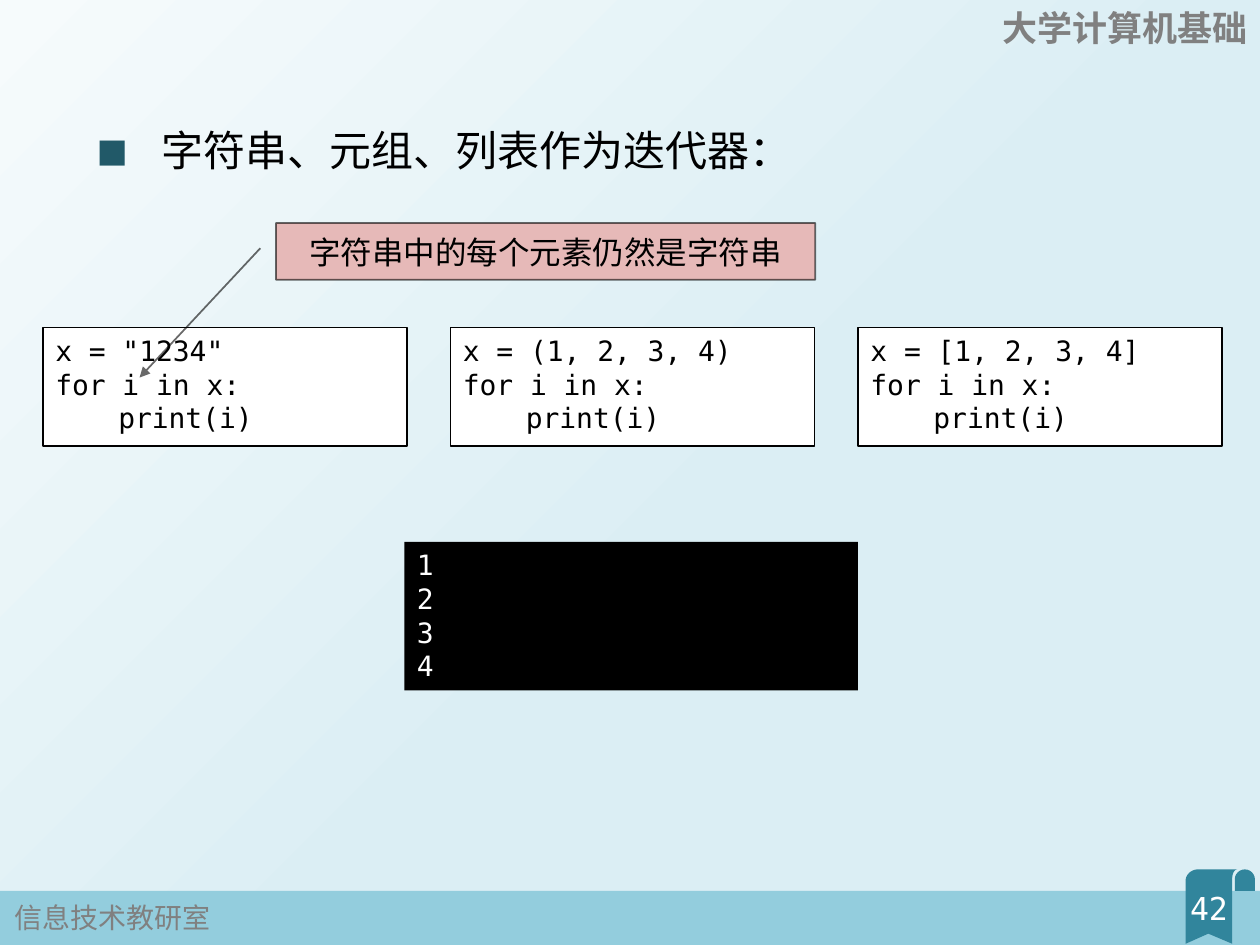
from dataclasses import dataclass
from math import cos, radians, sin

from lxml import etree
from pptx import Presentation
from pptx.dml.color import RGBColor
from pptx.enum.shapes import MSO_SHAPE
from pptx.enum.text import MSO_ANCHOR, MSO_AUTO_SIZE, PP_ALIGN
from pptx.oxml.ns import qn
from pptx.util import Inches, Pt

RECTANGLE, CALLOUT = MSO_SHAPE.RECTANGLE, MSO_SHAPE.LINE_CALLOUT_1
LEFT, CENTER, RIGHT = PP_ALIGN.LEFT, PP_ALIGN.CENTER, PP_ALIGN.RIGHT
TOP, MIDDLE = MSO_ANCHOR.TOP, MSO_ANCHOR.MIDDLE


@dataclass(frozen=True)
class Theme:
    black: str = "000000"
    white: str = "FFFFFF"
    gray: str = "808080"
    band: str = "93CDDD"
    ribbon: str = "31859C"
    bullet: str = "215968"
    callout: str = "E6B9B8"
    background: tuple = ((0, "F6FBFC"), (0.56, "DBEEF4"))
    mono: str = "DejaVu Sans Mono"
    chinese: str = "Noto Sans CJK JP"
    heading_size: int = 24
    course_size: int = 20
    note_size: int = 18
    code_size: int = 16


@dataclass(frozen=True)
class Box:
    left: float
    top: float
    width: float
    height: float

    def lengths(self) -> tuple:
        return tuple(Inches(v) for v in (self.left, self.top, self.width, self.height))


THEME = Theme()


def add_xml(parent, tag: str, **attributes: str):
    element = etree.SubElement(parent, qn(tag))
    for name, value in attributes.items():
        element.set(name, value)
    return element


def write_text(shape, text: str, *, size: int, color: str = THEME.black,
               font: str = THEME.mono, bold: bool = False, align=LEFT,
               anchor=TOP, wrap: bool = True) -> None:
    frame = shape.text_frame
    frame.word_wrap = wrap
    frame.auto_size = MSO_AUTO_SIZE.NONE
    frame.vertical_anchor = anchor
    for index, line in enumerate(text.split("\n")):
        paragraph = frame.add_paragraph() if index else frame.paragraphs[0]
        paragraph.alignment = align
        run = paragraph.add_run()
        run.text = line
        run.font.size = Pt(size)
        run.font.bold = bold
        run.font.name = font
        run.font.color.rgb = RGBColor.from_string(color)
        add_xml(run.font._element, "a:ea", typeface=THEME.chinese)


def paint(shape, fill: str, line: str | None = None) -> None:
    shape.shadow.inherit = False
    shape.fill.solid()
    shape.fill.fore_color.rgb = RGBColor.from_string(fill)
    if line is None:
        shape.line.fill.background()
    else:
        shape.line.color.rgb = RGBColor.from_string(line)
        shape.line.width = Pt(1)


def add_box(slide, box: Box, fill: str, line: str | None = None, kind=RECTANGLE):
    shape = slide.shapes.add_shape(kind, *box.lengths())
    paint(shape, fill, line)
    return shape


def add_label(slide, box: Box, text: str, **text_format) -> None:
    write_text(slide.shapes.add_textbox(*box.lengths()), text, **text_format)


def arc(x: float, y: float, radius_x: float, radius_y: float,
        start: int, end: int, steps: int = 12) -> list:
    angles = [radians(start + (end - start) * i / steps) for i in range(steps + 1)]
    return [(x + radius_x * cos(a), y + radius_y * sin(a)) for a in angles]


def add_ribbon(slide) -> None:
    roll = [*arc(9.88, 6.98, 0.08, 0.08, 180, 360), (9.96, 7.07), (9.8, 7.07)]
    tail = [*arc(9.82, 6.97, 0.04, 0.07, 270, 180), (9.78, 7.49), (9.59, 7.41),
            (9.41, 7.49), *arc(9.51, 6.99, 0.1, 0.09, 180, 270)]
    contours = [[(Inches(x), Inches(y)) for x, y in part] for part in (roll, tail)]
    builder = slide.shapes.build_freeform(*contours[0][0])
    builder.add_line_segments(contours[0][1:], close=True)
    builder.move_to(*contours[1][0])
    builder.add_line_segments(contours[1][1:], close=True)
    paint(builder.convert_to_shape(), THEME.ribbon)


def add_heading(slide, text: str) -> None:
    title = slide.shapes.title
    title.left, title.top, title.width, title.height = Box(0.69, 0.86, 8.62, 0.77).lengths()
    write_text(title, text, size=THEME.heading_size)
    paragraph = title.text_frame.paragraphs[0]
    paragraph.line_spacing = 1.2
    paragraph.space_before = Pt(10)
    properties = paragraph._p.get_or_add_pPr()
    properties.set("marL", str(Inches(0.49)))
    properties.set("indent", str(Inches(-0.49)))
    add_xml(add_xml(properties, "a:buClr"), "a:srgbClr", val=THEME.bullet)
    add_xml(properties, "a:buFont", typeface=THEME.mono)
    add_xml(properties, "a:buChar", char="■")


def add_callout(slide, text: str) -> None:
    callout = add_box(slide, Box(2.19, 1.77, 4.28, 0.45), THEME.callout, THEME.black, CALLOUT)
    for index, value in enumerate((0.444, -0.029, 2.726, -0.253)):
        callout.adjustments[index] = value
    # Translucent outline and arrowhead
    line = callout.line._get_or_add_ln()
    add_xml(line.find(".//" + qn("a:srgbClr")), "a:alpha", val="59000")
    add_xml(line, "a:tailEnd", type="triangle")
    write_text(callout, text, size=THEME.note_size, align=CENTER, anchor=MIDDLE)


def main() -> None:
    presentation = Presentation()
    presentation.slide_width, presentation.slide_height = Inches(10), Inches(7.5)
    slide = presentation.slides.add_slide(presentation.slide_layouts[5])

    # Background
    fill = slide.background.fill
    fill.gradient()
    fill.gradient_angle = 315
    for stop, (position, color) in zip(fill.gradient_stops, THEME.background):
        stop.position = position
        stop.color.rgb = RGBColor.from_string(color)

    # Header and footer
    add_box(slide, Box(0, 7.07, 10, 0.43), THEME.band)
    add_ribbon(slide)
    add_label(slide, Box(0.02, 7.1, 1.77, 0.37), "信息技术教研室", size=THEME.code_size,
              color=THEME.gray, font=THEME.chinese, wrap=False)
    add_label(slide, Box(7.83, 0, 2.17, 0.44), "大学计算机基础", size=THEME.course_size,
              color=THEME.gray, font=THEME.chinese, bold=True, align=RIGHT)
    add_label(slide, Box(9.24, 7.01, 0.71, 0.4), "42", size=THEME.note_size,
              color=THEME.white, align=CENTER)

    add_heading(slide, "字符串、元组、列表作为迭代器：")

    # Code examples
    width, pitch = 2.89, 3.235
    for index, value in enumerate(('"1234"', "(1, 2, 3, 4)", "[1, 2, 3, 4]")):
        box = Box(0.34 + index * pitch, 2.6, width, 0.94)
        code = add_box(slide, box, THEME.white, THEME.black)
        write_text(code, f"x = {value}\nfor i in x:\n\tprint(i)", size=THEME.code_size)

    # Program output
    output = add_box(slide, Box(3.21, 4.3, 3.6, 1.18), THEME.black)
    write_text(output, "1\n2\n3\n4", size=THEME.code_size, color=THEME.white)

    add_callout(slide, "字符串中的每个元素仍然是字符串")
    presentation.save("out.pptx")


main()
